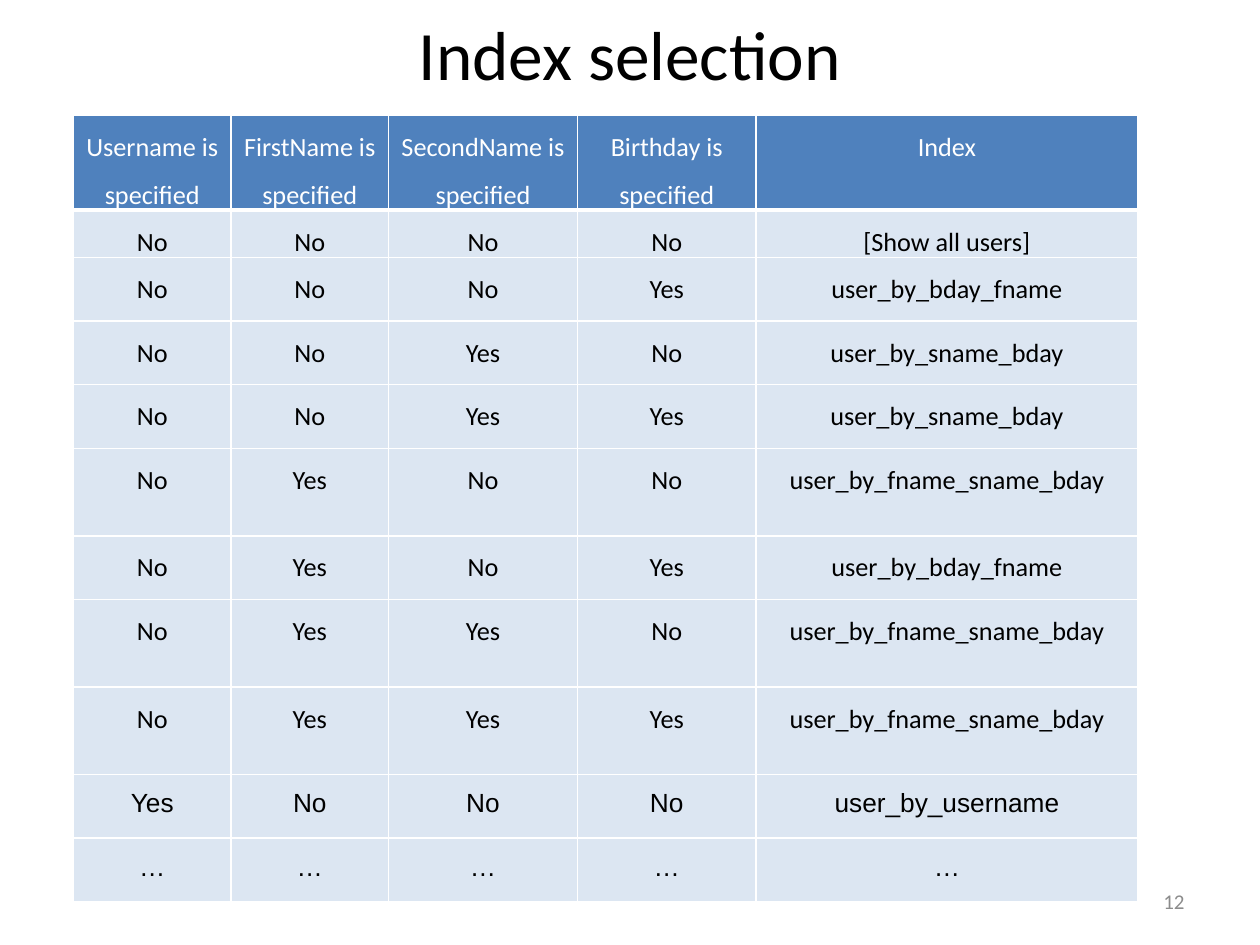
from lxml import etree
from pptx import Presentation
from pptx.dml.color import RGBColor
from pptx.enum.text import MSO_ANCHOR, PP_ALIGN
from pptx.oxml.ns import qn
from pptx.util import Pt

CENTER, RIGHT = PP_ALIGN.CENTER, PP_ALIGN.RIGHT
MIDDLE, TOP = MSO_ANCHOR.MIDDLE, MSO_ANCHOR.TOP

BLACK = RGBColor(0x00, 0x00, 0x00)
WHITE = RGBColor(0xFF, 0xFF, 0xFF)
GRAY = RGBColor(0x8C, 0x8C, 0x8C)
HEADER_BLUE = RGBColor(0x4F, 0x81, 0xBD)
PALE_BLUE = RGBColor(0xDC, 0xE6, 0xF2)

COLUMN_WIDTHS = [90, 90, 108, 102, 218.2]
HEADER_HEIGHT, FIRST_HEIGHT, ROW_HEIGHT, TALL_HEIGHT = 37.4, 25.2, 36.4, 50
LONG_INDEX = "user_by_fname_sname_bday"

HEADER = ["Username is specified", "FirstName is specified",
          "SecondName is specified", "Birthday is specified", "Index"]
RULES = [
    ("No No No No", "[Show all users]"),
    ("No No No Yes", "user_by_bday_fname"),
    ("No No Yes No", "user_by_sname_bday"),
    ("No No Yes Yes", "user_by_sname_bday"),
    ("No Yes No No", LONG_INDEX),
    ("No Yes No Yes", "user_by_bday_fname"),
    ("No Yes Yes No", LONG_INDEX),
    ("No Yes Yes Yes", LONG_INDEX),
    ("Yes No No No", "user_by_username"),
    ("… … … …", "…"),
]
ARIAL_FROM = 9  # the last two table rows are set in Arial


def add_span(para, text, size, color, font="Calibri"):
    span = para.add_run()
    span.text = text
    span.font.size = Pt(size)
    span.font.name = font
    span.font.color.rgb = color


def add_label(page, box, text, size, color, align):
    left, top, width, height = box
    shape = page.shapes.add_textbox(Pt(left), Pt(top), Pt(width), Pt(height))
    frame = shape.text_frame
    frame.word_wrap = True
    frame.vertical_anchor = MIDDLE
    para = frame.paragraphs[0]
    para.alignment = align
    add_span(para, text, size, color)


def set_borders(cell, top, bottom):
    properties = cell._tc.get_or_add_tcPr()
    for side, width in (("L", 1), ("R", 1), ("T", top), ("B", bottom)):
        line = etree.SubElement(properties, qn("a:ln" + side), w=str(Pt(width)))
        fill = etree.SubElement(line, qn("a:solidFill"))
        etree.SubElement(fill, qn("a:srgbClr"), val=str(WHITE))


def fill_cell(cell, text, row):
    set_borders(cell, 3 if row == 1 else 1, 3 if row == 0 else 1)
    cell.fill.solid()
    cell.fill.fore_color.rgb = PALE_BLUE if row else HEADER_BLUE
    cell.margin_left = cell.margin_right = Pt(5)
    cell.margin_top = cell.margin_bottom = Pt(0)
    cell.vertical_anchor = TOP
    para = cell.text_frame.paragraphs[0]
    para.alignment = CENTER
    para.line_spacing = 1.5
    add_span(para, text, 15, BLACK if row else WHITE,
             "Arial" if row >= ARIAL_FROM else "Calibri")


def add_index_table(page, left, top):
    rows = [HEADER] + [flags.split() + [index] for flags, index in RULES]
    heights = [HEADER_HEIGHT, FIRST_HEIGHT] + [
        TALL_HEIGHT if index == LONG_INDEX else ROW_HEIGHT
        for _, index in RULES[1:]]
    table = page.shapes.add_table(
        len(rows), len(COLUMN_WIDTHS), Pt(left), Pt(top),
        Pt(sum(COLUMN_WIDTHS)), Pt(sum(heights))).table
    table.horz_banding = False
    for column, width in zip(table.columns, COLUMN_WIDTHS):
        column.width = Pt(width)
    for row, (texts, height) in enumerate(zip(rows, heights)):
        table.rows[row].height = Pt(height)
        for column, text in enumerate(texts):
            fill_cell(table.cell(row, column), text, row)


deck = Presentation()
deck.slide_width, deck.slide_height = Pt(720), Pt(540)
page = deck.slides.add_slide(deck.slide_layouts[6])

# Title
add_label(page, (36, 0, 648, 60), "Index selection", 39.6, BLACK, CENTER)
# Index table
add_index_table(page, 42, 66)
# Page number
add_label(page, (516, 500.5, 168, 28.8), "12", 12, GRAY, RIGHT)

deck.save("out.pptx")
